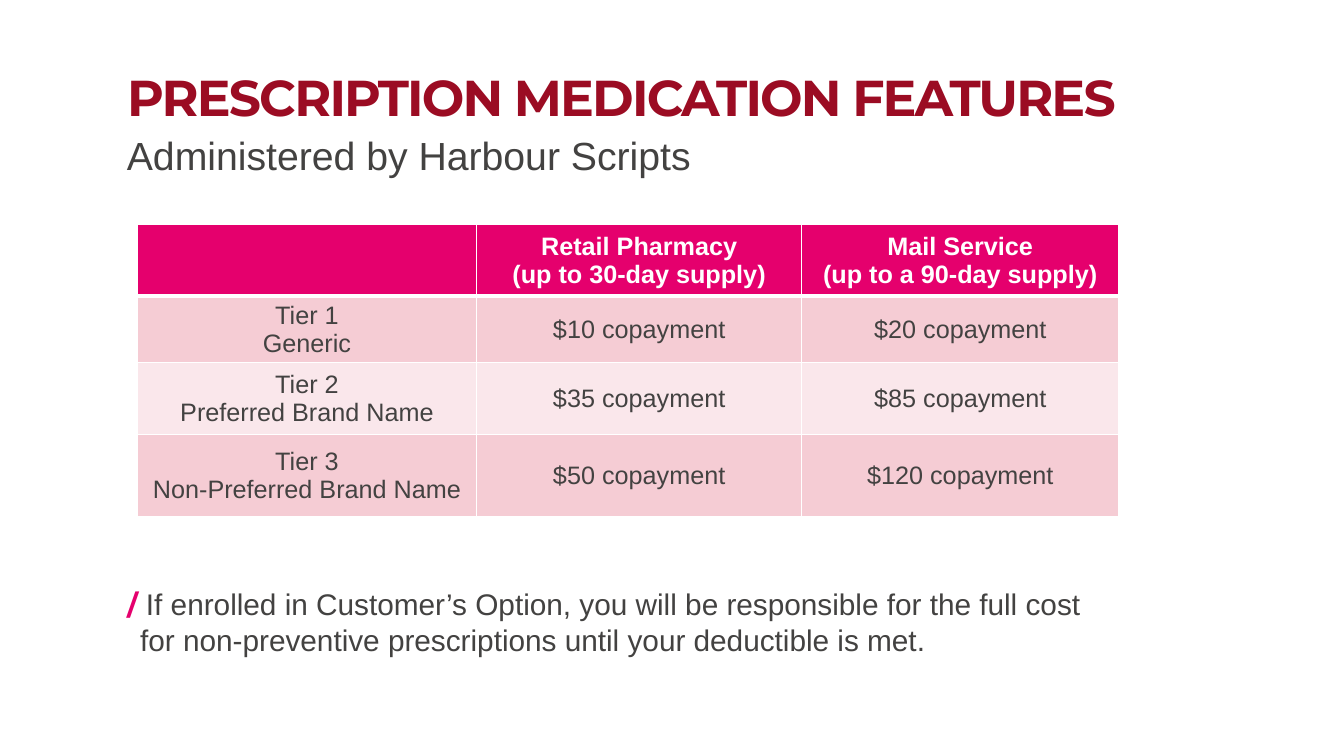
from lxml.etree import SubElement
from pptx import Presentation
from pptx.dml.color import RGBColor
from pptx.enum.text import MSO_ANCHOR, MSO_AUTO_SIZE, PP_ALIGN
from pptx.oxml import parse_xml
from pptx.oxml.ns import nsdecls, qn
from pptx.util import Inches, Pt

TITLE = "PRESCRIPTION MEDICATION FEATURES"
SUBTITLE = "Administered by Harbour Scripts"
NOTE_MARK = "/ "
NOTE = ("If enrolled in Customer’s Option, you will be responsible for the full "
        "cost for non-preventive prescriptions until your deductible is met.")
TABLE_ROWS = [
    ("", "Retail Pharmacy\n(up to 30-day supply)", "Mail Service\n(up to a 90-day supply)"),
    ("Tier 1\nGeneric", "$10 copayment", "$20 copayment"),
    ("Tier 2\nPreferred Brand Name", "$35 copayment", "$85 copayment"),
    ("Tier 3\nNon-Preferred Brand Name", "$50 copayment", "$120 copayment"),
]
COLUMN_WIDTHS = [3.37, 3.22, 3.15]
ROW_HEIGHTS = [0.71, 0.58, 0.71, 0.82]
COLORS = {
    "title": "9B0C23",
    "accent": "E5006D",
    "text": "434241",
    "white": "FFFFFF",
    "band_dark": "F5CCD4",
    "band_light": "FAE7EB",
}


def place(shape, left, top, width, height):
    shape.left, shape.top = Inches(left), Inches(top)
    shape.width, shape.height = Inches(width), Inches(height)


def prepare(text_frame, top_inset):
    text_frame.word_wrap = True
    text_frame.auto_size = MSO_AUTO_SIZE.NONE
    text_frame.vertical_anchor = MSO_ANCHOR.TOP
    text_frame.margin_top = Inches(top_inset)


def style(run, size, color, font_name="Arial", bold=False):
    run.font.name = font_name
    run.font.size = Pt(size)
    run.font.bold = bold
    run.font.color.rgb = RGBColor.from_string(COLORS[color])


def add_borders(cell, bottom_width):
    properties = cell._tc.get_or_add_tcPr()
    widths = {"lnL": 1, "lnR": 1, "lnT": 1, "lnB": bottom_width}
    for position, (side, width) in enumerate(widths.items()):
        properties.insert(position, parse_xml(
            f'<a:{side} {nsdecls("a")} w="{Pt(width)}"><a:solidFill>'
            f'<a:srgbClr val="{COLORS["white"]}"/></a:solidFill></a:{side}>'))


def add_title(slide):
    title = slide.shapes.title
    place(title, 1.16, 0.59, 10.98, 0.75)
    title.text_frame.text = TITLE
    prepare(title.text_frame, 0.07)
    paragraph = title.text_frame.paragraphs[0]
    paragraph.alignment = PP_ALIGN.LEFT
    run = paragraph.runs[0]
    style(run, 36, "title", "Montserrat", True)
    run.font._element.set("spc", "-130")


def add_subtitle(slide):
    subtitle = slide.shapes.add_textbox(Inches(1.16), Inches(1.2), Inches(8.22), Inches(0.9))
    subtitle.text_frame.text = SUBTITLE
    prepare(subtitle.text_frame, 0.1)
    style(subtitle.text_frame.paragraphs[0].runs[0], 28, "text")


def add_note(slide):
    note = slide.placeholders[1]
    place(note, 1.16, 5.74, 9.75, 1.07)
    prepare(note.text_frame, 0.07)
    paragraph = note.text_frame.paragraphs[0]
    properties = paragraph._p.get_or_add_pPr()
    properties.set("marL", str(Inches(0.13)))
    properties.set("indent", str(Inches(-0.13)))
    SubElement(properties, qn("a:buNone"))
    paragraph.space_before = Pt(0)
    for text, look in [(NOTE_MARK, (20, "accent", "Montserrat", True)), (NOTE, (21.3, "text"))]:
        run = paragraph.add_run()
        run.text = text
        style(run, *look)


def add_copayment_table(slide):
    frame = slide.shapes.add_table(
        len(TABLE_ROWS), len(COLUMN_WIDTHS), Inches(1.36), Inches(2.23),
        Inches(sum(COLUMN_WIDTHS)), Inches(sum(ROW_HEIGHTS)))
    table = frame.table
    for column, width in zip(table.columns, COLUMN_WIDTHS):
        column.width = Inches(width)
    for row_index, (row, height) in enumerate(zip(table.rows, ROW_HEIGHTS)):
        row.height = Inches(height)
        is_header = row_index == 0
        band = "band_dark" if row_index % 2 else "band_light"
        for cell, text in zip(row.cells, TABLE_ROWS[row_index]):
            cell.text = text
            cell.vertical_anchor = MSO_ANCHOR.MIDDLE
            cell.margin_left = cell.margin_right = Inches(0.13)
            cell.margin_top = cell.margin_bottom = Inches(0.05)
            cell.fill.solid()
            cell.fill.fore_color.rgb = RGBColor.from_string(COLORS["accent" if is_header else band])
            add_borders(cell, 3 if is_header else 1)
            for paragraph in cell.text_frame.paragraphs:
                paragraph.alignment = PP_ALIGN.CENTER
                for run in paragraph.runs:
                    style(run, 18, "white" if is_header else "text", bold=is_header)


def main():
    presentation = Presentation()
    presentation.slide_width = Inches(13.33)
    presentation.slide_height = Inches(7.5)
    slide = presentation.slides.add_slide(presentation.slide_layouts[1])
    add_title(slide)
    add_note(slide)
    add_copayment_table(slide)
    add_subtitle(slide)
    presentation.save("out.pptx")


if __name__ == "__main__":
    main()
